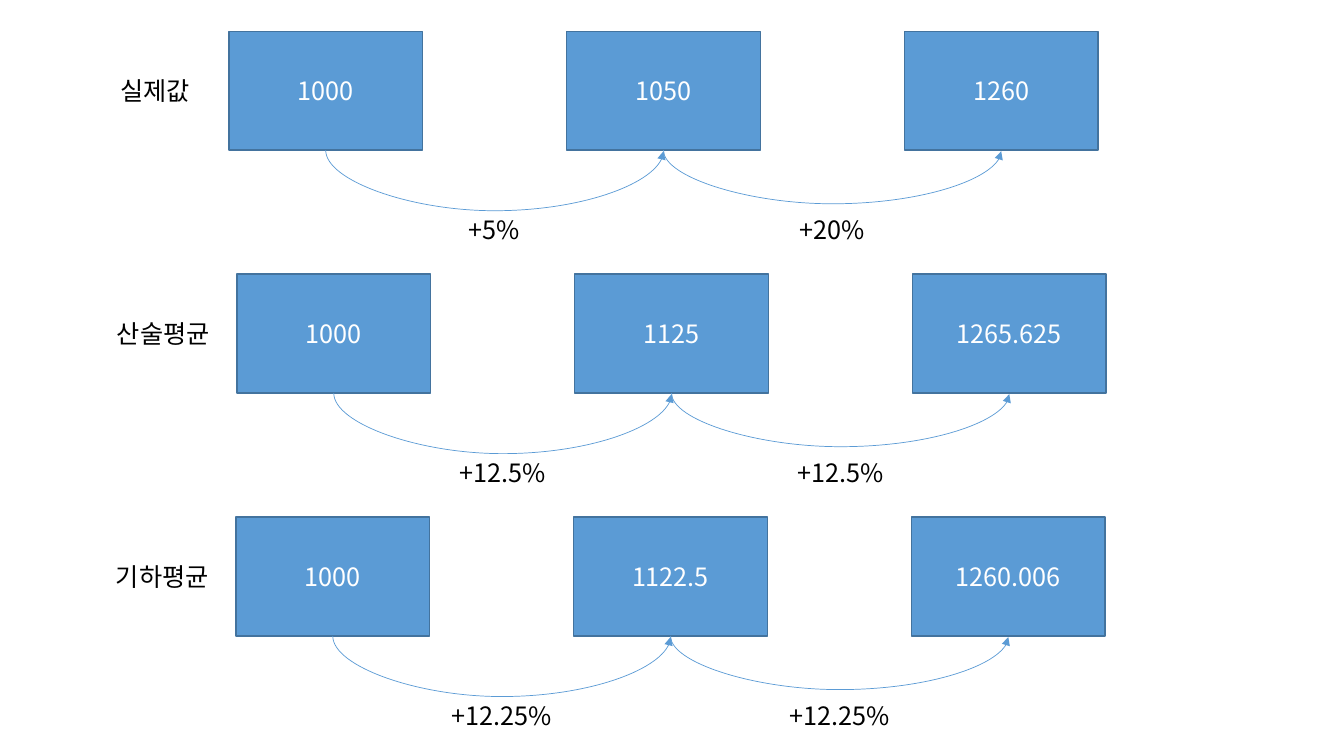
from lxml.etree import SubElement as Sub
from pptx import Presentation
from pptx.dml.color import RGBColor as RGB
from pptx.enum.shapes import MSO_CONNECTOR as Link, MSO_SHAPE as Kind
from pptx.enum.text import MSO_ANCHOR as Anchor, MSO_AUTO_SIZE as Auto, PP_ALIGN as Align
from pptx.oxml.ns import qn
from pptx.util import Inches, Pt

HUES = {"box": "5B9BD5", "edge": "43739E", "light": "FFFFFF", "dark": "000000"}
FACE = "Noto Sans CJK KR"
FONT = {"size": Pt(18), "name": FACE}
FRAME = {"word_wrap": False, "auto_size": Auto.SHAPE_TO_FIT_TEXT}

# Lengths in inches
WIDE, HIGH = 1.92, 1.18
STEP, DROP = 3.35, 2.41
TOP = 0.31
RISE = 0.01  # height gained from one end of an arc to the other
SAGS = (0.61, 0.54)

# Name, left edge, values, growth rates
ROWS = [
    ("실제값", 2.27, ("1000", "1050", "1260"), ("+5%", "+20%")),
    ("산술평균", 2.35, ("1000", "1125", "1265.625"), ("+12.5%", "+12.5%")),
    ("기하평균", 2.34, ("1000", "1122.5", "1260.006"), ("+12.25%", "+12.25%")),
]


def hue(name):
    return RGB.from_string(HUES[name])


def apply(item, form):
    for key, val in form.items():
        setattr(item, key, val)


def write(frame, text, tint):
    par = frame.paragraphs[0]
    par.alignment = Align.CENTER
    run = par.add_run()
    run.text = text
    run.font.color.rgb = hue(tint)
    apply(run.font, FONT)
    Sub(run.font._element, qn("a:ea"), typeface=FACE)


def add_box(group, left, top, text):
    box = group.shapes.add_shape(
        Kind.RECTANGLE, Inches(left), Inches(top), Inches(WIDE), Inches(HIGH))
    box.shadow.inherit = False
    box.fill.solid()
    box.fill.fore_color.rgb = hue("box")
    box.line.color.rgb = hue("edge")
    box.line.width = Pt(1)
    box.text_frame.vertical_anchor = Anchor.MIDDLE
    write(box.text_frame, text, "light")


def add_label(group, mid, top, wide, text):
    label = group.shapes.add_textbox(
        Inches(mid - wide / 2), Inches(top), Inches(wide), Inches(0.4))
    apply(label.text_frame, FRAME)
    write(label.text_frame, text, "dark")


def add_arc(group, left, top, sag):
    # A thin upright connector, turned so that it hangs below the boxes
    mid, level = left + STEP / 2, top + RISE / 2
    arc = group.shapes.add_connector(
        Link.CURVE, Inches(mid - RISE / 2), Inches(level - STEP / 2),
        Inches(mid + RISE / 2), Inches(level + STEP / 2))
    arc.line.color.rgb = hue("box")
    arc.line.width = Pt(0.5)
    props = arc._element.spPr
    turn = props.find(qn("a:xfrm"))
    turn.set("rot", str(270 * 60000))
    turn.set("flipH", "1")
    geom = props.find(qn("a:prstGeom"))
    bends = geom.find(qn("a:avLst"))
    if bends is None:
        bends = Sub(geom, qn("a:avLst"))
    Sub(bends, qn("a:gd"), name="adj1", fmla=f"val {round(sag / RISE * 100000)}")
    Sub(props.find(qn("a:ln")), qn("a:tailEnd"), type="triangle")
    Sub(props, qn("a:effectLst"))


def add_row(slide, top, name, left, values, rates):
    group = slide.shapes.add_group_shape()
    for col, value in enumerate(values):
        add_box(group, left + col * STEP, top, value)
    for col, (rate, sag) in enumerate(zip(rates, SAGS)):
        start = left + WIDE / 2 + col * STEP
        add_arc(group, start, top + HIGH, sag)
        add_label(group, start + STEP / 2, top + 1.77, 0.4 + 0.12 * len(rate), rate)
    add_label(group, left - 0.73, top + 0.39, 0.23 + 0.24 * len(name), name)


def main():
    deck = Presentation()
    deck.slide_width, deck.slide_height = Inches(13.33), Inches(7.5)
    slide = deck.slides.add_slide(deck.slide_layouts[6])
    for i, row in enumerate(ROWS):
        add_row(slide, TOP + i * DROP, *row)
    deck.save("out.pptx")


main()
